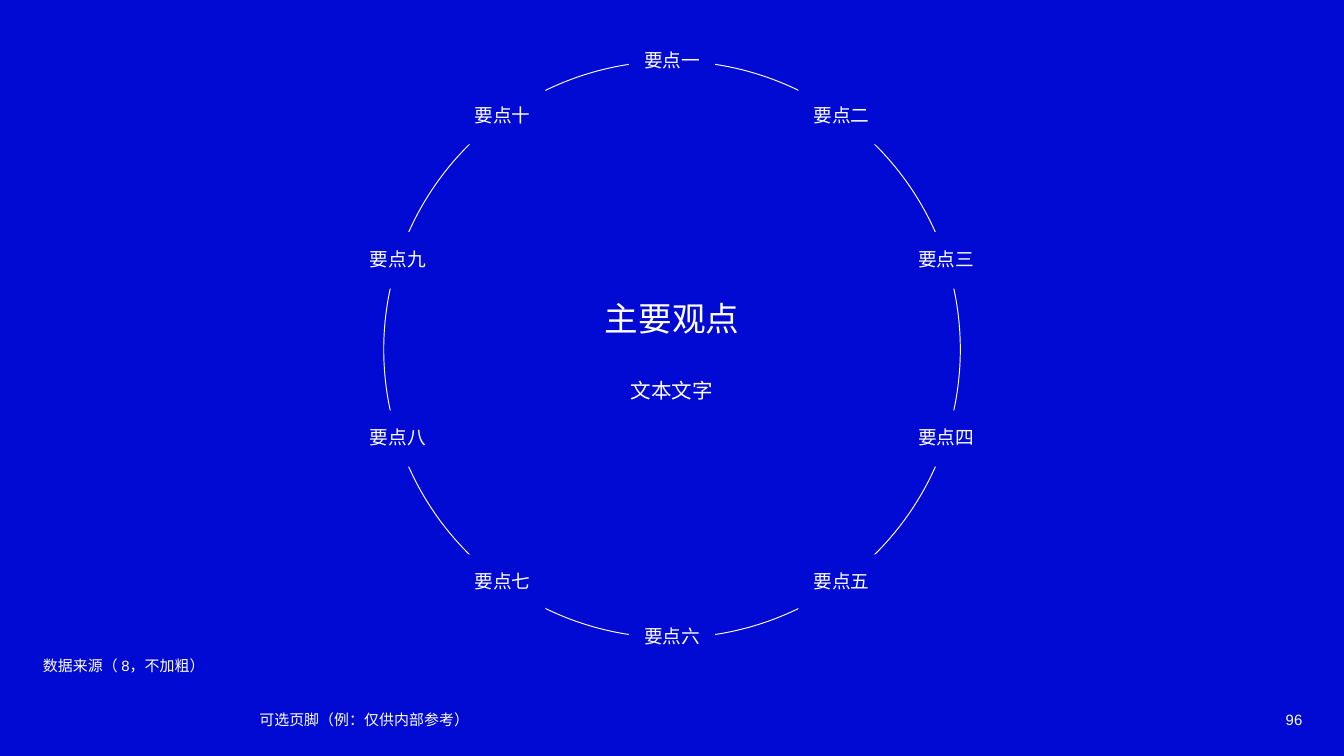
import math

from lxml import etree
from pptx import Presentation
from pptx import util as u
from pptx.dml.color import RGBColor
from pptx.enum import shapes, text
from pptx.oxml.ns import qn

BLUE = RGBColor(0x00, 0x0A, 0xD2)
WHITE = RGBColor(0xFF, 0xFF, 0xFF)
LATIN_FONT = "Arial"
CHINESE_FONT = "Noto Sans CJK SC"
SLIDE_WIDTH = 10
SLIDE_HEIGHT = SLIDE_WIDTH * 9 / 16
CENTER_X, CENTER_Y = 5, 2.6
DIAMETER = 4.29
RADIUS = DIAMETER / 2
LABEL_WIDTH, LABEL_HEIGHT = 0.64, 0.42
NUMERALS = "一二三四五六七八九十"


def add_shape(slide, kind, left, top, width, height, fill=None, line=None):
    shape = slide.shapes.add_shape(
        kind, u.Inches(left), u.Inches(top), u.Inches(width), u.Inches(height))
    shape.shadow.inherit = False
    if fill is None:
        shape.fill.background()
    else:
        shape.fill.solid()
        shape.fill.fore_color.rgb = fill
    if line is None:
        shape.line.fill.background()
    else:
        shape.line.color.rgb = line
        shape.line.width = u.Pt(0.5)
    return shape


def set_text(shape, *lines, sizes=(8,), font=LATIN_FONT, align=text.PP_ALIGN.LEFT,
             anchor=text.MSO_ANCHOR.MIDDLE, inset=0, line_spacing=1, gap=0):
    frame = shape.text_frame
    frame.word_wrap = True
    frame.vertical_anchor = anchor
    frame.margin_left = frame.margin_right = u.Inches(inset)
    frame.margin_top = frame.margin_bottom = u.Inches(inset)
    for index, (line, size) in enumerate(zip(lines, sizes)):
        paragraph = frame.add_paragraph() if index else frame.paragraphs[0]
        paragraph.alignment = align
        paragraph.line_spacing = line_spacing
        if index:
            paragraph.space_before = u.Pt(gap)
        run = paragraph.add_run()
        run.text = line
        run.font.size = u.Pt(size)
        run.font.color.rgb = WHITE
        run.font.name = font
        east_asian = etree.SubElement(run.font._element, qn("a:ea"))
        east_asian.set("typeface", CHINESE_FONT)


def add_text(slide, left, top, width, height, *lines, **style):
    box = slide.shapes.add_textbox(
        u.Inches(left), u.Inches(top), u.Inches(width), u.Inches(height))
    set_text(box, *lines, **style)


def add_ring(slide):
    add_shape(slide, shapes.MSO_SHAPE.OVAL, CENTER_X - RADIUS, CENTER_Y - RADIUS,
              DIAMETER, DIAMETER, line=WHITE)
    for index, numeral in enumerate(NUMERALS):
        angle = 2 * math.pi * index / len(NUMERALS)
        left = CENTER_X + RADIUS * math.sin(angle) - LABEL_WIDTH / 2
        top = CENTER_Y - RADIUS * math.cos(angle) - LABEL_HEIGHT / 2
        label = add_shape(slide, shapes.MSO_SHAPE.RECTANGLE, left, top,
                          LABEL_WIDTH, LABEL_HEIGHT, fill=BLUE)
        set_text(label, f"要点{numeral}", sizes=(10,), font=CHINESE_FONT,
                 align=text.PP_ALIGN.CENTER, inset=0.02, line_spacing=0.9)


def main():
    presentation = Presentation()
    presentation.slide_width = u.Inches(SLIDE_WIDTH)
    presentation.slide_height = u.Inches(SLIDE_HEIGHT)
    slide = presentation.slides.add_slide(presentation.slide_layouts[6])

    add_shape(slide, shapes.MSO_SHAPE.RECTANGLE, 0, 0, SLIDE_WIDTH, SLIDE_HEIGHT,
              fill=BLUE)
    add_ring(slide)
    add_text(slide, 3.54, 2.21, 2.92, 0.79, "主要观点", "文本文字",
             sizes=(18, 11), align=text.PP_ALIGN.CENTER, gap=21)
    add_text(slide, 0.32, 4.49, 9.37, 0.53, "数据来源（ 8，不加粗）",
             anchor=text.MSO_ANCHOR.BOTTOM, line_spacing=1.1)
    add_text(slide, 1.93, 5.28, 6.46, 0.15, "可选页脚（例：仅供内部参考）")
    add_text(slide, 9.3, 5.28, 0.39, 0.15, "96", align=text.PP_ALIGN.RIGHT)

    presentation.save("out.pptx")


if __name__ == "__main__":
    main()
